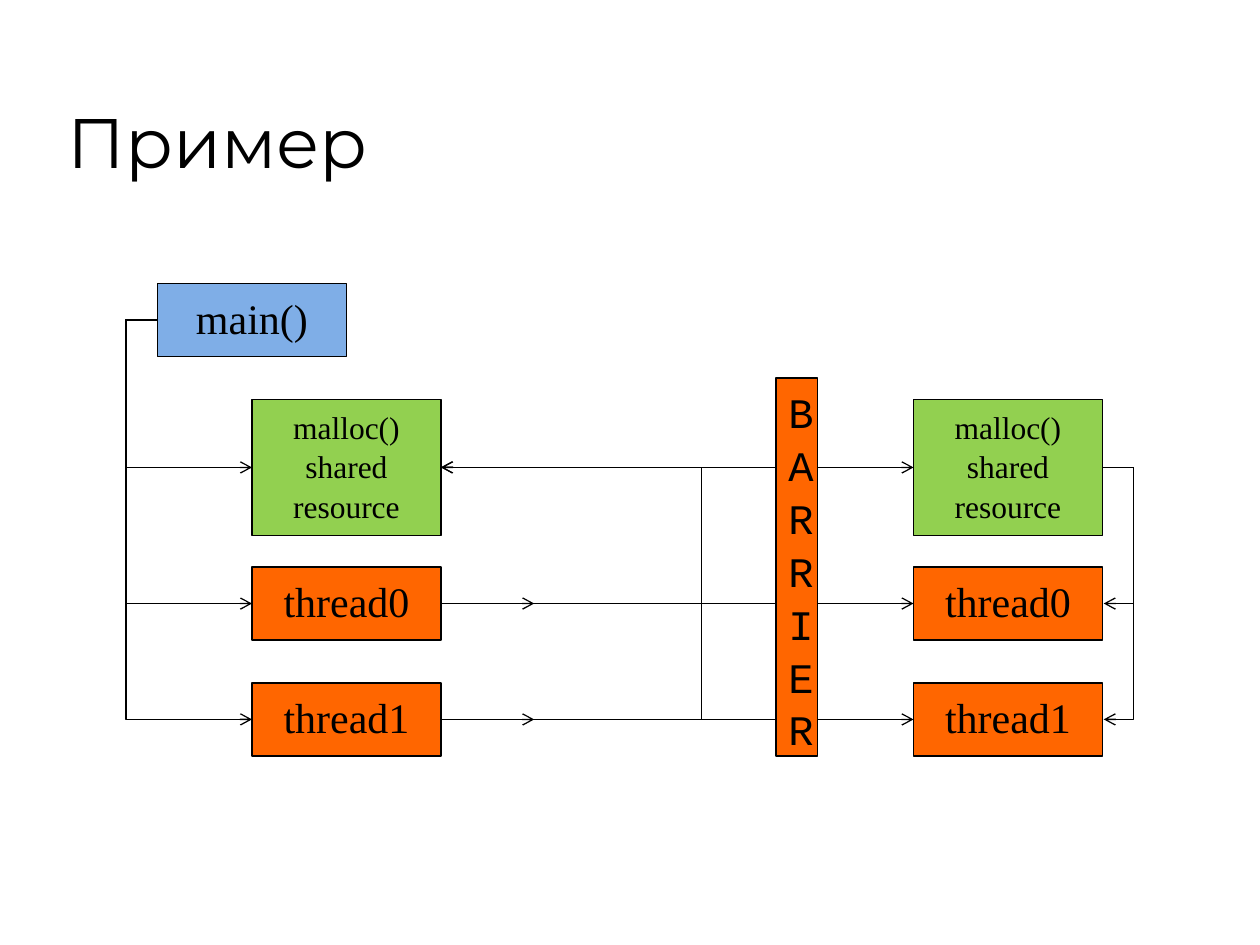
"""Build a slide showing threads that meet at a barrier."""
from lxml import etree
from pptx import Presentation
from pptx.dml.color import RGBColor
from pptx.enum.shapes import MSO_CONNECTOR, MSO_SHAPE
from pptx.enum.text import MSO_ANCHOR, PP_ALIGN
from pptx.oxml.ns import qn
from pptx.util import Inches, Pt

RECT = MSO_SHAPE.RECTANGLE
STRAIGHT, ELBOW = MSO_CONNECTOR.STRAIGHT, MSO_CONNECTOR.ELBOW
TOP, BOTTOM = MSO_ANCHOR.TOP, MSO_ANCHOR.BOTTOM
CENTER = PP_ALIGN.CENTER
LEFT_SIDE, RIGHT_SIDE = 1, 3
BLACK, BLUE, GREEN, ORANGE = "000000", "7FAEE7", "92D050", "FF6600"
SERIF = "Times New Roman"


def add_box(x, y, w, h, fill, lines, size, font=SERIF):
    sp = s.shapes.add_shape(RECT, Inches(x), Inches(y), Inches(w), Inches(h))
    sp.shadow.inherit = False
    sp.fill.solid()
    sp.fill.fore_color.rgb = RGBColor.from_string(fill)
    sp.line.color.rgb = RGBColor.from_string(BLACK)
    sp.line.width = Pt(0.75)
    tf = sp.text_frame
    tf.word_wrap = True
    tf.vertical_anchor = TOP
    for i, line in enumerate(lines):
        p = tf.add_paragraph() if i else tf.paragraphs[0]
        p.alignment = CENTER
        p.line_spacing = 1.05
        r = p.add_run()
        r.text = line
        r.font.name = font
        r.font.size = Pt(size)
        r.font.color.rgb = RGBColor.from_string(BLACK)
    return sp


def add_arrow(start, end, begin=None, finish=None, via=None):
    kind = STRAIGHT if via is None else ELBOW
    c = s.shapes.add_connector(kind, *[Inches(v) for v in start + end])
    if begin:
        c.begin_connect(*begin)
    if finish:
        c.end_connect(*finish)
    c.end_x = Inches(end[0])
    c.line.color.rgb = RGBColor.from_string(BLACK)
    c.line.width = Pt(0.75)
    sppr = c._element.spPr
    etree.SubElement(sppr.find(qn("a:ln")), qn("a:tailEnd"), type="arrow")
    etree.SubElement(sppr, qn("a:effectLst"))
    if via is not None:
        geom = sppr.find(qn("a:prstGeom"))
        av = geom.find(qn("a:avLst"))
        if av is None:
            av = etree.SubElement(geom, qn("a:avLst"))
        adj = round((via - start[0]) / (end[0] - start[0]) * 100000)
        etree.SubElement(av, qn("a:gd"), name="adj1", fmla=f"val {adj}")


prs = Presentation()
prs.slide_width, prs.slide_height = Inches(10), Inches(7.5)
s = prs.slides.add_slide(prs.slide_layouts[6])

title = s.shapes.add_textbox(Inches(0.44), Inches(0.25), Inches(8.5), Inches(1.25))
tf = title.text_frame
tf.word_wrap = True
tf.vertical_anchor = BOTTOM
r = tf.paragraphs[0].add_run()
r.text = "Пример"
r.font.name = "Montserrat"
r.font.size = Pt(40)
r.font.color.rgb = RGBColor.from_string(BLACK)

main_box = add_box(1.25, 2.25, 1.5, 0.58, BLUE, ["main()"], 24)
rows = [
    (3.17, 1.08, GREEN, ["malloc()", "shared", "resource"], 18),
    (4.5, 0.58, ORANGE, ["thread0"], 24),
    (5.42, 0.58, ORANGE, ["thread1"], 24),
]
before = [add_box(2, y, 1.5, h, *style) for y, h, *style in rows]
after = [add_box(7.25, y, 1.5, h, *style) for y, h, *style in rows]
middles = [y + h / 2 for y, h, *style in rows]
top = middles[0]

for y, left, right in zip(middles, before, after):
    add_arrow((1.25, 2.54), (2, y), (main_box, LEFT_SIDE), (left, LEFT_SIDE), via=1)
    add_arrow((3.5, y), (7.25, y), (left, RIGHT_SIDE), (right, LEFT_SIDE))

for y, left, right in list(zip(middles, before, after))[1:]:
    add_arrow((3.5, y), (4.24, y), (left, RIGHT_SIDE))
    add_arrow((5.32, y), (3.5, top), finish=(before[0], RIGHT_SIDE), via=5.57)
    add_arrow((8.75, top), (8.76, y), (after[0], RIGHT_SIDE), (right, RIGHT_SIDE), via=9)

add_box(6.16, 3, 0.33, 3, ORANGE, ["BARRIER"], 24, "Courier New")

prs.save("out.pptx")
